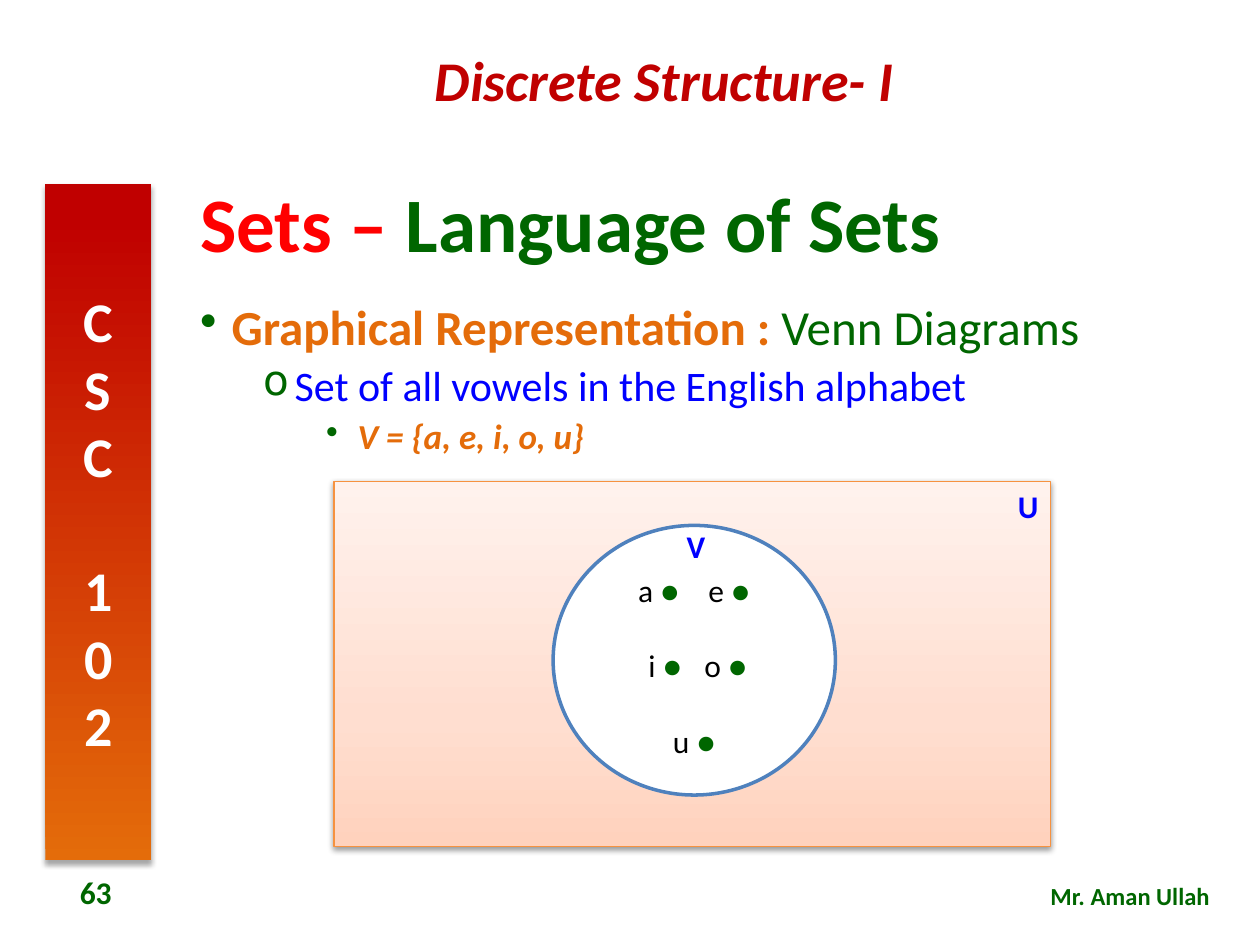
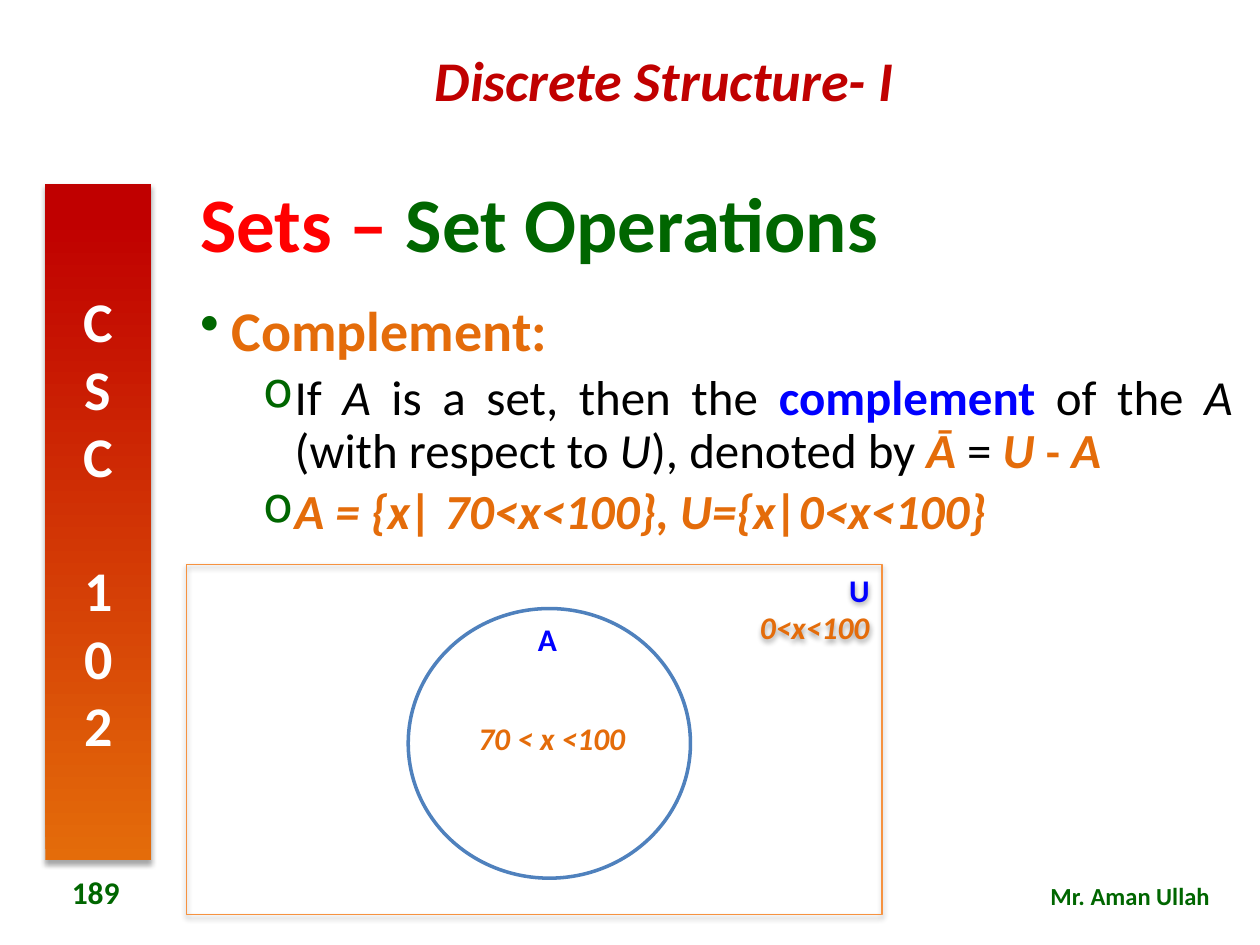
"""Builds two Discrete Structure slides on Venn diagrams and set complement."""
from lxml import etree
from pptx import Presentation
from pptx import util as u
from pptx.dml.color import RGBColor
from pptx.enum import shapes, text
from pptx.oxml.ns import qn

RED, DARK_RED, ORANGE, GREEN = "FF0000", "C00000", "E46C0A", "006600"
BLUE, BLACK, WHITE = "0000FF", "000000", "FFFFFF"
FRAME_LINE, CIRCLE_LINE = "F69240", "4F81BD"
LEFT, CENTER, RIGHT, JUSTIFY = (text.PP_ALIGN.LEFT, text.PP_ALIGN.CENTER,
                                text.PP_ALIGN.RIGHT, text.PP_ALIGN.JUSTIFY)
TOP, MIDDLE = text.MSO_ANCHOR.TOP, text.MSO_ANCHOR.MIDDLE
BULLETS = ["•", "o", "•"]


def write(shape, paragraphs, anchor=TOP, gap=0, **layout):
    frame = shape.text_frame
    frame.word_wrap = True
    frame.vertical_anchor = anchor
    for index, runs in enumerate(paragraphs):
        paragraph = frame.add_paragraph() if index else frame.paragraphs[0]
        for name, value in layout.items():
            setattr(paragraph, name, value)
        if index and gap:
            paragraph.space_before = u.Pt(gap)
        for words, color, size, flags, *font_name in runs:
            run = paragraph.add_run()
            run.text = words
            run.font.color.rgb = RGBColor.from_string(color)
            formats = {"name": font_name[0] if font_name else "Calibri",
                       "size": u.Pt(size), "bold": "b" in flags, "italic": "i" in flags}
            for name, value in formats.items():
                setattr(run.font, name, value)
    return frame


def draw(slide, kind, box, fill=None, line=None, shadow=None):
    shape = slide.shapes.add_shape(kind, *map(u.Inches, box))
    shape.shadow.inherit = False
    if isinstance(fill, list):
        shape.fill.gradient()
        shape.fill.gradient_angle = 90
        stops = shape._element.spPr.find(".//" + qn("a:gsLst"))
        for stop in list(stops):
            stops.remove(stop)
        for position, color in fill:
            stop = etree.SubElement(stops, qn("a:gs"), pos=str(position * 1000))
            etree.SubElement(stop, qn("a:srgbClr"), val=color)
    elif fill:
        shape.fill.solid()
        shape.fill.fore_color.rgb = RGBColor.from_string(fill)
    else:
        shape.fill.background()
    if line:
        color, width = line
        shape.line.color.rgb = RGBColor.from_string(color)
        shape.line.width = u.Pt(width)
    else:
        shape.line.fill.background()
    if shadow:
        opacity, distance = shadow
        effects = shape._element.spPr.find(qn("a:effectLst"))
        outer = etree.SubElement(effects, qn("a:outerShdw"), blurRad=str(u.Pt(3.1)),
                                 dist=str(u.Pt(distance)), dir="5400000", rotWithShape="0")
        shade = etree.SubElement(outer, qn("a:srgbClr"), val=BLACK)
        etree.SubElement(shade, qn("a:alpha"), val=str(opacity * 1000))
    return shape


def dotted(letter, end=""):
    return [(letter, BLACK, 18, ""), (" ●" + end, GREEN, 18, "")]


vowels = [dotted("a", "\t") + dotted(" e"), dotted(" i", "\t") + dotted("o"), dotted("u")]
peach = [(0, "FFD2BD"), (35, "FFDED0"), (100, "FFF2ED")]
universe = [("U", BLUE, 18, "b")]

slides = [
    {"topic": "Language of Sets", "number": "63",
     "body": [
         (0, [("Graphical Representation : ", ORANGE, 28, "b"),
              ("Venn Diagrams", GREEN, 28, "")]),
         (1, [("Set of all vowels in the English alphabet", BLUE, 24, "")]),
         (2, [("V = {a, e, i, o, u}", ORANGE, 20, "bi")])],
     "frame": (2.65, 3.82, 5.69, 2.9), "fill": peach, "frame text": [universe],
     "circle": (4.39, 4.17, 2.24, 2.14), "circle text": vowels,
     "labels": [((5.35, 4.13, 0.32, 0.4), LEFT, ("V", BLUE, 18, "b"))]},
    {"topic": "Set Operations", "number": "189",
     "body": [
         (0, [("Complement:", ORANGE, 32, "b")]),
         (1, [("If ", BLACK, 28, ""), ("A", BLACK, 28, "i"),
              (" is a set, then the ", BLACK, 28, ""), ("complement", BLUE, 28, "b"),
              (" of the ", BLACK, 28, ""), ("A ", BLACK, 28, "i"),
              ("(with respect to ", BLACK, 28, ""), ("U", BLACK, 28, "i"),
              ("), denoted by ", BLACK, 28, ""), ("Ā", ORANGE, 28, "bi"),
              (" = ", BLACK, 28, ""), ("U", ORANGE, 28, "bi"),
              (" - ", ORANGE, 28, "b", "Cambria"), ("A", ORANGE, 28, "bi")]),
         (1, [("A = {x| 70<x<100}, U={x|0<x<100}", ORANGE, 28, "bi")])],
     "frame": (1.48, 4.48, 5.52, 2.78), "fill": None,
     "frame text": [universe, [("0<x<100", ORANGE, 18, "bi")]],
     "circle": (3.24, 4.83, 2.24, 2.14), "circle text": [],
     "labels": [((4.17, 4.87, 0.32, 0.4), LEFT, ("A", BLUE, 18, "b")),
                ((3.41, 5.66, 1.94, 0.4), CENTER, ("70 < x <100", ORANGE, 18, "bi"))]},
]

presentation = Presentation()
presentation.slide_width, presentation.slide_height = u.Inches(10), u.Inches(7.5)

for content in slides:
    slide = presentation.slides.add_slide(presentation.slide_layouts[5])

    title = slide.shapes.title
    for name, value in zip(("left", "top", "width", "height"), (1.49, 1.36, 8.39, 0.89)):
        setattr(title, name, u.Inches(value))
    write(title, [[("Sets – ", RED, 44, "b"), (content["topic"], GREEN, 44, "b")]],
          MIDDLE, alignment=LEFT, line_spacing=0.9)

    band = draw(slide, shapes.MSO_SHAPE.RECTANGLE, (0.36, 1.46, 0.84, 5.37),
                [(0, ORANGE), (95, DARK_RED)], shadow=(35, 1.8))
    frame = write(band, [[("CSC 102", WHITE, 32, "b")]], MIDDLE, alignment=CENTER)
    frame._txBody.bodyPr.set("vert", "wordArtVert")

    captions = [
        ((2.11, 0.31, 6.33, 0.64), CENTER, TOP, ("Discrete Structure- I", DARK_RED, 32, "bi")),
        ((6.8, 6.94, 2.9, 0.34), RIGHT, TOP, ("Mr. Aman Ullah", GREEN, 14, "b")),
        ((0.24, 6.88, 1.04, 0.4), CENTER, MIDDLE, (content["number"], GREEN, 18, "b"))]
    for box, alignment, anchor, run in captions:
        caption = slide.shapes.add_textbox(*map(u.Inches, box))
        write(caption, [[run]], anchor, alignment=alignment)

    body = slide.shapes.add_textbox(*map(u.Inches, (1.49, 2.36, 8.39, 4.4)))
    frame = write(body, [runs for level, runs in content["body"]], gap=5,
                  alignment=JUSTIFY, line_spacing=0.9)
    for paragraph, (level, runs) in zip(frame.paragraphs, content["body"]):
        paragraph.level = level
        properties = paragraph._p.get_or_add_pPr()
        properties.set("marL", str(u.Inches(0.25 + 0.5 * level)))
        properties.set("indent", str(u.Inches(-0.25)))
        color = etree.SubElement(properties, qn("a:buClr"))
        etree.SubElement(color, qn("a:srgbClr"), val=GREEN)
        etree.SubElement(properties, qn("a:buChar"), char=BULLETS[level])

    universe_frame = draw(slide, shapes.MSO_SHAPE.RECTANGLE, content["frame"],
                          content["fill"], (FRAME_LINE, 0.75), (38, 1.6))
    write(universe_frame, content["frame text"], alignment=RIGHT)
    circle = draw(slide, shapes.MSO_SHAPE.OVAL, content["circle"], WHITE, (CIRCLE_LINE, 2))
    write(circle, content["circle text"], gap=21.5, alignment=CENTER)
    for box, alignment, run in content["labels"]:
        label = slide.shapes.add_textbox(*map(u.Inches, box))
        write(label, [[run]], alignment=alignment)

presentation.save("out.pptx")
